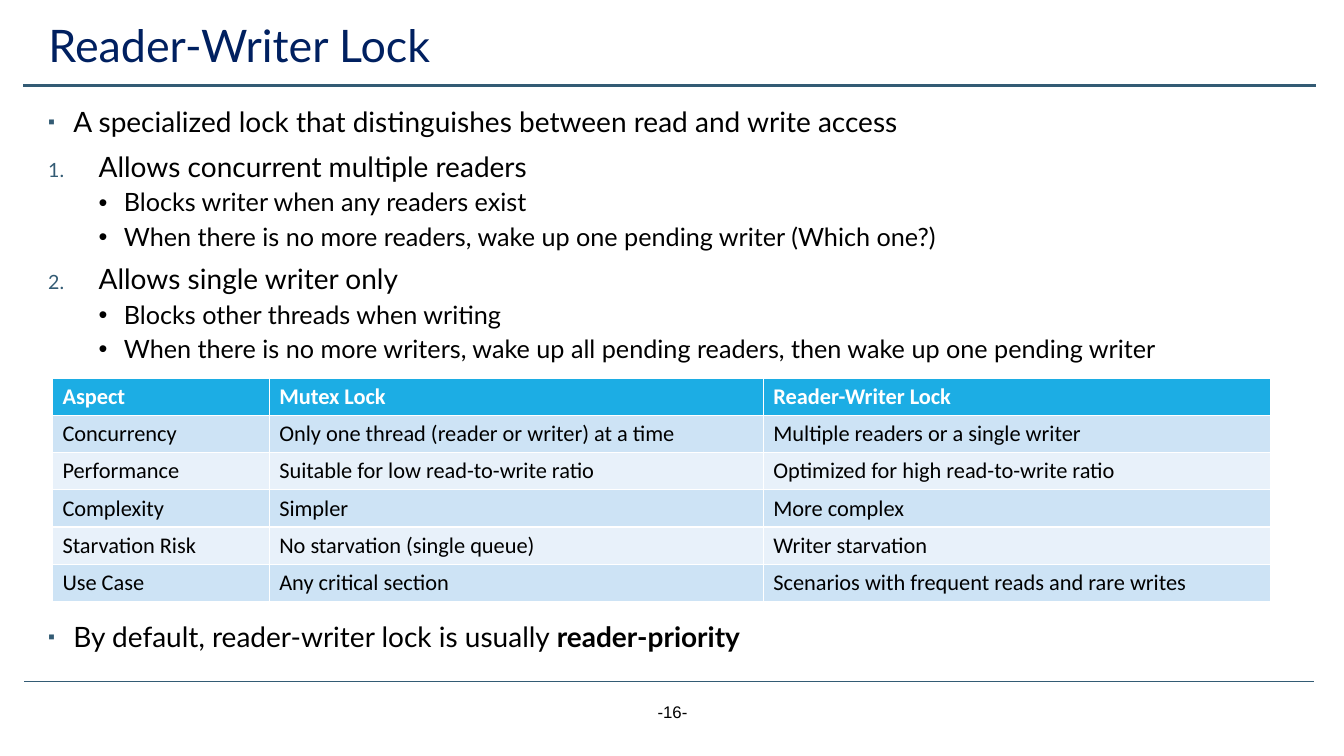
"""Build a slide that introduces the reader-writer lock."""
from lxml import etree
from pptx import Presentation
from pptx.dml.color import RGBColor
from pptx.enum.shapes import MSO_CONNECTOR
from pptx.enum.text import MSO_ANCHOR, PP_ALIGN
from pptx.oxml.ns import qn
from pptx.util import Inches, Pt

STRAIGHT = MSO_CONNECTOR.STRAIGHT
TOP = MSO_ANCHOR.TOP
LEFT, CENTER = PP_ALIGN.LEFT, PP_ALIGN.CENTER

COLORS = {
    "title": "002060", "text": "000000", "rule": "335B74", "white": "FFFFFF",
    "header": "1CADE4", "odd": "CDE3F5", "even": "E8F1FA",
}

PARAGRAPH_STYLES = {
    "point": {"indent": 0.25, "hang": 0.25, "size": 20, "before": 10,
              "bullet": ("buChar", {"char": "▪"}), "accent": True},
    "number": {"indent": 0.5, "hang": 0.5, "size": 20, "before": 10,
               "bullet": ("buAutoNum", {"type": "arabicPeriod"}), "accent": True},
    "detail": {"indent": 0.75, "hang": 0.25, "size": 18, "before": 5, "level": 1,
               "bullet": ("buChar", {"char": "•"}), "accent": False},
}

LOCK_RULES = [
    ("point", ["A specialized lock that distinguishes between read and write access"]),
    ("number", ["Allows concurrent multiple readers"]),
    ("detail", ["Blocks writer when any readers exist"]),
    ("detail", ["When there is no more readers, wake up one pending writer (Which one?)"]),
    ("number", ["Allows single writer only"]),
    ("detail", ["Blocks other threads when writing"]),
    ("detail", ["When there is no more writers, wake up all pending readers, "
                "then wake up one pending writer"]),
]
DEFAULT_POLICY = [
    ("point", ["By default, reader-writer lock is usually ", "reader-priority"]),
]
COMPARISON = [
    ("Aspect", "Mutex Lock", "Reader-Writer Lock"),
    ("Concurrency", "Only one thread (reader or writer) at a time",
     "Multiple readers or a single writer"),
    ("Performance", "Suitable for low read-to-write ratio",
     "Optimized for high read-to-write ratio"),
    ("Complexity", "Simpler", "More complex"),
    ("Starvation Risk", "No starvation (single queue)", "Writer starvation"),
    ("Use Case", "Any critical section", "Scenarios with frequent reads and rare writes"),
]
COLUMN_WIDTHS = (2.15, 4.9, 5.03)
ROW_HEIGHT = 0.37


def rgb(name):
    """Return the named colour."""
    return RGBColor.from_string(COLORS[name])


def set_font(font, color, **values):
    """Apply a colour and a dict of format values to a font."""
    font.color.rgb = rgb(color)
    for key, value in values.items():
        setattr(font, key, value)


def add_rule(s, left, right, y, width):
    """Draw a horizontal rule without a shadow."""
    line = s.shapes.add_connector(STRAIGHT, Inches(left), Inches(y), Inches(right), Inches(y))
    line.line.color.rgb = rgb("rule")
    line.line.width = Pt(width)
    etree.SubElement(line._element.spPr, qn("a:effectLst"))


def add_bullet(p, style):
    """Give a paragraph its hanging indent and bullet."""
    pPr = p._p.get_or_add_pPr()
    pPr.set("marL", str(Inches(style["indent"])))
    pPr.set("indent", str(-Inches(style["hang"])))
    if style["accent"]:
        color = etree.SubElement(pPr, qn("a:buClr"))
        etree.SubElement(color, qn("a:srgbClr"), val=COLORS["rule"])
        etree.SubElement(pPr, qn("a:buSzPct"), val="70000")
    etree.SubElement(pPr, qn("a:buFont"), typeface="Arial")
    tag, attributes = style["bullet"]
    etree.SubElement(pPr, qn("a:" + tag), attributes)


def add_text_box(s, left, top, width, height):
    """Add a wrapping text box and return its text frame."""
    tf = s.shapes.add_textbox(Inches(left), Inches(top), Inches(width), Inches(height)).text_frame
    tf.word_wrap = True
    return tf


def add_list(s, top, height, items):
    """Add a bulleted list; a second run in an item is bold."""
    tf = add_text_box(s, 0.38, top, 12.43, height)
    for i, (kind, texts) in enumerate(items):
        style = PARAGRAPH_STYLES[kind]
        p = tf.add_paragraph() if i else tf.paragraphs[0]
        add_bullet(p, style)
        p.level = style.get("level", 0)
        p.line_spacing = 0.9
        p.space_before = Pt(style["before"] if i else 0)
        for j, text in enumerate(texts):
            r = p.add_run()
            r.text = text
            set_font(r.font, "text", name="Lato", size=Pt(style["size"]), bold=j > 0)


def add_title(s, text):
    """Place and format the title placeholder."""
    title = s.shapes.title
    title.left, title.top = Inches(0.38), Inches(0.19)
    title.width, title.height = Inches(12.43), Inches(0.63)
    tf = title.text_frame
    tf.text = text
    tf.vertical_anchor = TOP
    p = tf.paragraphs[0]
    p.alignment = LEFT
    p.line_spacing = 0.9
    set_font(p.runs[0].font, "title", name="Lato", size=Pt(32))


def add_comparison(s):
    """Add the table that compares the two locks."""
    table = s.shapes.add_table(
        len(COMPARISON), len(COLUMN_WIDTHS), Inches(0.52), Inches(3.75),
        Inches(sum(COLUMN_WIDTHS)), Inches(ROW_HEIGHT * len(COMPARISON))).table
    for column, width in zip(table.columns, COLUMN_WIDTHS):
        column.width = Inches(width)
    for i, texts in enumerate(COMPARISON):
        table.rows[i].height = Inches(ROW_HEIGHT)
        fill = "header" if i == 0 else "odd" if i % 2 else "even"
        for j, text in enumerate(texts):
            cell = table.cell(i, j)
            cell.text = text
            cell.fill.solid()
            cell.fill.fore_color.rgb = rgb(fill)
            set_font(cell.text_frame.paragraphs[0].runs[0].font,
                     "text" if i else "white", name="Calibri", size=Pt(16), bold=i == 0)


def add_page_number(s, text):
    """Add the centred page number."""
    p = add_text_box(s, 5.17, 6.91, 3, 0.4).paragraphs[0]
    p.alignment = CENTER
    r = p.add_run()
    r.text = text
    set_font(r.font, "text", name="Arial", size=Pt(12))


def main():
    """Build and save the slide."""
    prs = Presentation()
    prs.slide_width, prs.slide_height = Inches(13.33), Inches(7.5)
    s = prs.slides.add_slide(prs.slide_layouts[5])
    add_rule(s, 0.24, 13.03, 6.76, 0.5)
    add_rule(s, 0.23, 13.05, 0.85, 1.75)
    add_page_number(s, "-16-")
    add_title(s, "Reader-Writer Lock")
    add_list(s, 1.03, 2.7, LOCK_RULES)
    add_list(s, 6.13, 0.5, DEFAULT_POLICY)
    add_comparison(s)
    prs.save("out.pptx")


if __name__ == "__main__":
    main()
